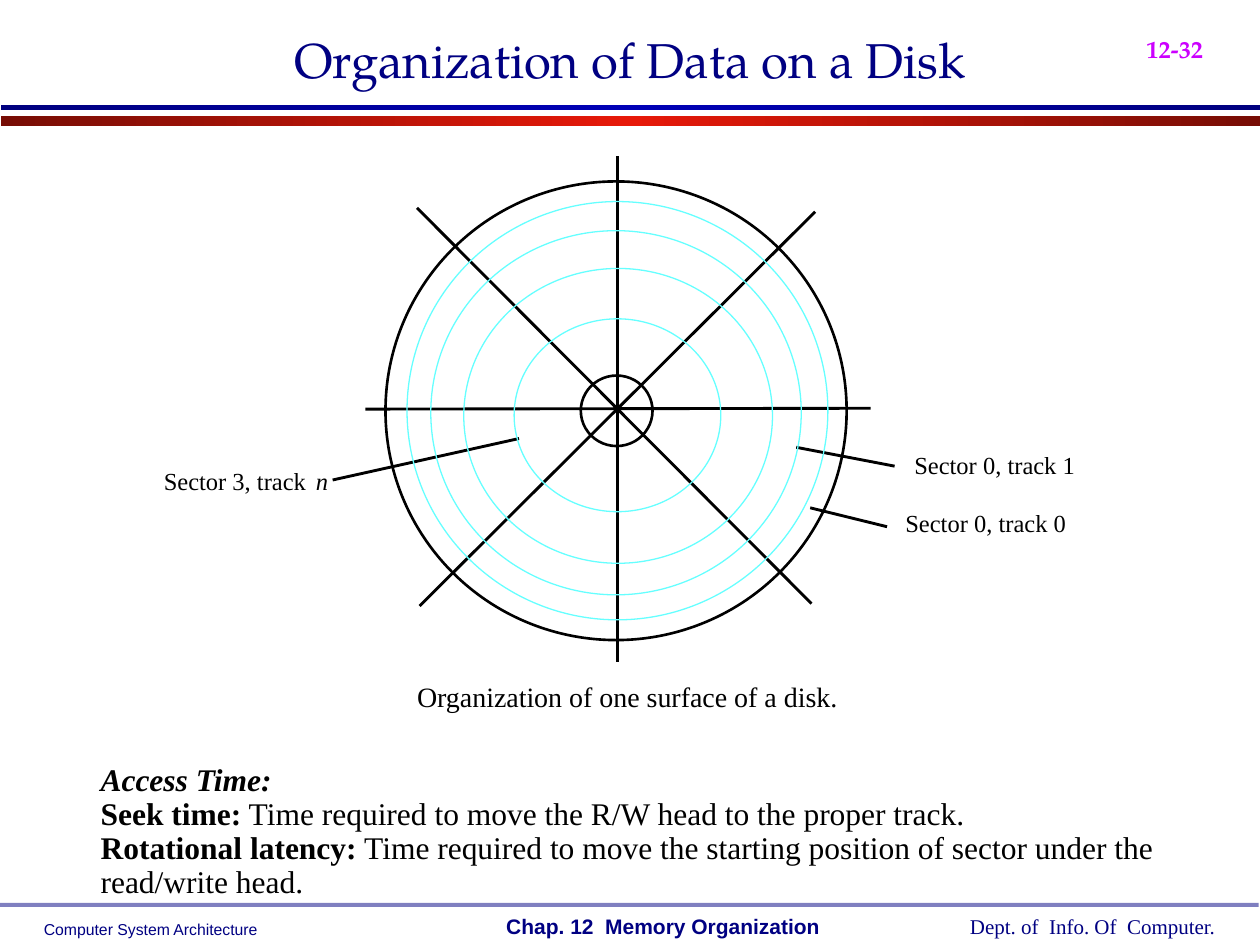
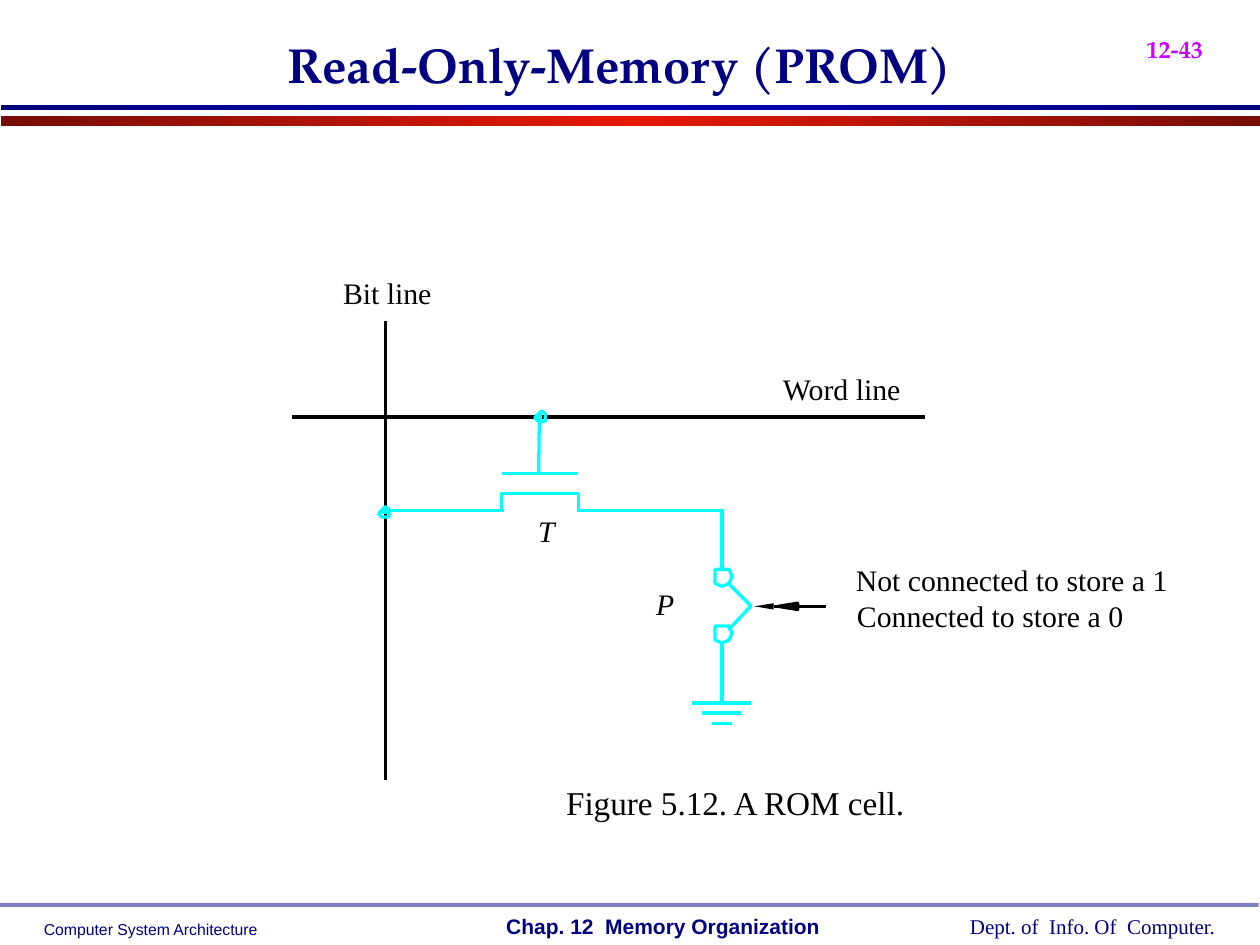
from lxml import etree
from pptx import Presentation
from pptx.dml.color import RGBColor
from pptx.enum.shapes import MSO_CONNECTOR, MSO_SHAPE
from pptx.enum.text import MSO_ANCHOR, MSO_AUTO_SIZE, PP_ALIGN
from pptx.oxml import parse_xml
from pptx.oxml.ns import nsdecls, qn
from pptx.util import Pt

STRAIGHT = MSO_CONNECTOR.STRAIGHT
RECTANGLE, OVAL = MSO_SHAPE.RECTANGLE, MSO_SHAPE.OVAL
LEFT, CENTER = PP_ALIGN.LEFT, PP_ALIGN.CENTER
TOP, BOTTOM = MSO_ANCHOR.TOP, MSO_ANCHOR.BOTTOM
FIT_SHAPE, FIT_NONE = MSO_AUTO_SIZE.SHAPE_TO_FIT_TEXT, MSO_AUTO_SIZE.NONE

NAVY, MAGENTA, BLACK, WHITE = "000082", "CC00FF", "000000", "FFFFFF"
TRACK_BLUE, CYAN = "66FFFF", "00FFFF"
SERIF, SANS, DISPLAY = "Times New Roman", "Arial", "TeX Gyre Pagella"

# Shared parts: boxes are left, top, width, height
BANDS = [
    ((0.72, 66.2, 719.28, 5.8), ("770D05", "E71909", "770D05")),
    ((0.72, 59.8, 719.28, 3), ("00007F", "0000B6", "00007F")),
]
FOOTER_RULE = (0, 516, 719.3, 2.2)
FOOTERS = [
    ("Computer System Architecture", (18, 522, 136.8, 18), dict(name=SANS, size=9)),
    ("Dept. of  Info. Of  Computer.", (547.2, 518.4, 155.5, 21.6), dict(name=SERIF, size=12)),
    ("Chap. 12  Memory Organization", (282.2, 518.4, 193.7, 21.6),
     dict(name=SANS, size=12, bold=True)),
]
PAGE_NUMBER_BOX = (648, 0, 77.8, 26.6)
PAGE_NUMBER_FORMAT = dict(name=DISPLAY, size=24, bold=True, color=MAGENTA)

# Disk slide
DISK_LABELS = [
    ("Sector 0, track 0", (512.6, 290.2, 101.5, 16.6), {}),
    ("Sector 3, track", (89.3, 266.4, 90, 16.6), {}),
    ("n", (180, 266.4, 7.9, 16.6), dict(italic=True)),
    ("Sector 0, track 1", (517.7, 257, 101.5, 16.6), {}),
    ("Organization of one surface of a disk.", (224.6, 388.1, 267.8, 19.4), dict(size=16)),
]
DISK_LINES = [
    (190.1, 274.3, 296.6, 250.6),
    (352.8, 378, 352.8, 89.3),
    (497.5, 233.3, 208.8, 233.8),
    (239.8, 346.3, 465.8, 121),
    (238.3, 118.8, 463.7, 344.9),
    (506.9, 301, 463, 290.2),
    (511.2, 266.4, 455, 255.6),
]
RIM, TRACK = (BLACK, 1.5), (TRACK_BLUE, 0.75)
DISK_CIRCLES = [
    ((220.3, 103.7, 263.5, 262.1), RIM),
    ((232.6, 115.2, 240.5, 239), TRACK),
    ((246.2, 131.8, 211.7, 208.1), TRACK),
    ((265, 153.4, 176.4, 168.5), TRACK),
    ((293.8, 182.2, 118.1, 110.2), TRACK),
    ((331.9, 214.6, 41, 40.3), RIM),
]
ACCESS_TIME = [
    [("Access Time:", dict(bold=True, italic=True))],
    [("Seek time:", dict(bold=True)),
     (" Time required to move the R/W head to the proper track.", {})],
    [("Rotational latency:", dict(bold=True)),
     (" Time required to move the starting position of sector under the read/write head.", {})],
]
ACCESS_BOX = (50.4, 433.4, 618.5, 85.7)

# ROM cell slide
WIRE = 1.88
ROM_LABELS = [
    ("Not connected to store a 1", (478.1, 321.1, 200.2, 20.2), {}),
    ("Connected to store a 0", (479.5, 341.3, 172.8, 20.2), {}),
    ("Figure 5.12. A ROM cell.", (316.1, 447.1, 208.1, 23), dict(size=19)),
    ("Word line", (445, 211.7, 72, 20.2), {}),
    ("P", (374.4, 334.8, 11.5, 20.2), dict(italic=True)),
    ("Bit line", (195.8, 157, 51.1, 20.2), {}),
    ("T", (304.6, 293, 15.1, 20.2), dict(italic=True)),
]
ROM_BLACK_LINES = [
    (442.1, 346.7, 472.3, 346.7),
    (528.5, 238.3, 167, 238.3),
    (220.3, 445.7, 220.3, 183.6),
]
ROM_CYAN_LINES = [
    (429.1, 401.8, 395.3, 401.8),
    (423.4, 407.5, 401, 407.5),
    (418.3, 413.3, 406.8, 413.3),
    (412.6, 401.8, 412.6, 367.9),
    (330.5, 270.7, 286.6, 270.7),
    (286.6, 291.6, 220.3, 291.6),
    (307.8, 270.7, 308.2, 238.3),
]
GATE_BOX = (286.6, 282.2, 43.9, 9.4)
GATE_OPENING = (288, 291, 329.8, 291)
DRAIN_WIRE = [(412.6, 325.4), (412.6, 291.6), (330.5, 291.6)]
FUSE_LINK = [(416.2, 333.4), (429.1, 346.3), (416.2, 360)]
ARROW_HEAD = [(0, -1.8), (-11, 0), (0, 1.8)]
TERMINAL = [(0, 0), (-4, 0), (-4, 4), (-4, 8), (0, 9.7), (4, 8), (5.8, 4), (4, 0)]
TERMINAL_MASK = [(0, -5.8), (-4, -4), (-5.8, 0), (-4, 4), (0, 5.8), (4, 4), (5.8, 0), (4, -4)]
JUNCTION_RING = [(0, 0), (-2, 2), (-4, 4), (-2, 6), (0, 6), (2, 6), (2, 4), (2, 2)]
JUNCTION_DOT = [(-2, -2), (-2, 2), (2, 2), (2, -2)]
JUNCTIONS = [((220.3, 291.6), (220.3, 289.5)), ((307.6, 238.3), (309.6, 234.7))]


def rgb(color):
    return RGBColor.from_string(color)


def points(values):
    return [Pt(value) for value in values]


def paint(shape, fill=None, line=None):
    """Apply a fill colour and a (colour, width) outline; None means empty."""
    shape.shadow.inherit = False
    if fill:
        shape.fill.solid()
        shape.fill.fore_color.rgb = rgb(fill)
    else:
        shape.fill.background()
    if line:
        shape.line.color.rgb = rgb(line[0])
        shape.line.width = Pt(line[1])
    else:
        shape.line.fill.background()


def add_shape(slide, kind, box, fill=None, line=None):
    shape = slide.shapes.add_shape(kind, *points(box))
    paint(shape, fill, line)
    return shape


def add_line(slide, ends, color=BLACK, width=1.63):
    connector = slide.shapes.add_connector(STRAIGHT, *points(ends))
    connector.line.color.rgb = rgb(color)
    connector.line.width = Pt(width)
    etree.SubElement(connector._element.spPr, qn("a:effectLst"))


def add_outline(slide, vertices, origin=(0, 0), close=True, fill=None, line=None):
    """Draw a polygon or open path whose vertices are relative to origin."""
    moved = [points((origin[0] + x, origin[1] + y)) for x, y in vertices]
    builder = slide.shapes.build_freeform(*moved[0])
    builder.add_line_segments(moved[1:], close=close)
    paint(builder.convert_to_shape(), fill, line)


def add_text(slide, box, paragraphs, font, align=LEFT, anchor=TOP, inset=None,
             wrap=True, fit=FIT_SHAPE, spacing=None):
    """Add a text box; paragraphs hold (text, font changes) runs."""
    shape = slide.shapes.add_textbox(*points(box))
    frame = shape.text_frame
    frame.word_wrap, frame.auto_size, frame.vertical_anchor = wrap, fit, anchor
    if inset is not None:
        for side in ("left", "top", "right", "bottom"):
            setattr(frame, f"margin_{side}", Pt(inset))
    for index, runs in enumerate(paragraphs):
        paragraph = frame.paragraphs[0] if index == 0 else frame.add_paragraph()
        paragraph.alignment = align
        for name, value in (spacing or {}).items():
            setattr(paragraph, name, value)
        for text, changes in runs:
            run = paragraph.add_run()
            run.text = text
            for name, value in {"color": BLACK, **font, **changes}.items():
                if name == "color":
                    run.font.color.rgb = rgb(value)
                else:
                    setattr(run.font, name, Pt(value) if name == "size" else value)
    return shape


def add_labels(slide, labels, size):
    for text, box, changes in labels:
        add_text(slide, box, [[(text, changes)]], dict(name=SERIF, size=size),
                 align=CENTER, inset=0, wrap=False)


def add_band(slide, box, colors):
    """Add a bar with a left-to-right gradient."""
    band = add_shape(slide, RECTANGLE, box)
    properties = band._element.spPr
    properties.remove(properties.find(qn("a:noFill")))
    step = 100000 // (len(colors) - 1)
    stops = "".join(f'<a:gs pos="{index * step}"><a:srgbClr val="{color}"/></a:gs>'
                    for index, color in enumerate(colors))
    properties.find(qn("a:prstGeom")).addnext(parse_xml(
        f'<a:gradFill {nsdecls("a")} rotWithShape="1"><a:gsLst>{stops}</a:gsLst>'
        '<a:lin ang="0" scaled="1"/></a:gradFill>'))


def add_base_slide(presentation, title, title_box, number, bold=False):
    """Add a slide with the bands, footers, page number and title."""
    slide = presentation.slides.add_slide(presentation.slide_layouts[6])
    for box, colors in BANDS:
        add_band(slide, box, colors)
    for text, box, font in FOOTERS:
        add_text(slide, box, [[(text, {})]], dict(font, color=NAVY), wrap=False)
    rule = add_shape(slide, RECTANGLE, FOOTER_RULE, NAVY)
    color = rule._element.spPr.find(f'{qn("a:solidFill")}/{qn("a:srgbClr")}')
    etree.SubElement(color, qn("a:alpha"), val="50000")
    page_number = add_text(slide, PAGE_NUMBER_BOX, [[(number, {})]], PAGE_NUMBER_FORMAT,
                           spacing=dict(space_before=Pt(12)))
    run = page_number.text_frame.paragraphs[0].runs[0]
    run.font._element.set("baseline", "-25000")
    add_text(slide, title_box, [[(title, {})]],
             dict(name=DISPLAY, size=28, color=NAVY, bold=bold),
             align=CENTER, anchor=BOTTOM, fit=FIT_NONE)
    return slide


def build_disk_slide(presentation):
    slide = add_base_slide(presentation, "Organization of Data on a Disk",
                           (54, 0, 612, 54), "12-32")
    for ends in DISK_LINES:
        add_line(slide, ends)
    for box, line in DISK_CIRCLES:
        add_shape(slide, OVAL, box, line=line)
    add_labels(slide, DISK_LABELS, 14)
    add_text(slide, ACCESS_BOX, ACCESS_TIME, dict(name=SERIF, size=18),
             spacing=dict(line_spacing=0.9))


def build_rom_slide(presentation):
    slide = add_base_slide(presentation, "Read-Only-Memory (PROM)",
                           (48.2, 2.9, 612, 54), "12-43", bold=True)
    cyan_line = (CYAN, WIRE)
    for ends in ROM_BLACK_LINES:
        add_line(slide, ends, BLACK, WIRE)
    add_outline(slide, ARROW_HEAD, (455.8, 346.5), line=(BLACK, WIRE))
    add_outline(slide, ARROW_HEAD, (442.1, 346.5), fill=BLACK)
    add_outline(slide, TERMINAL, (412.6, 357.8), line=cyan_line)
    add_outline(slide, TERMINAL_MASK, (412.6, 329.8), fill=WHITE)
    add_outline(slide, TERMINAL, (412.6, 325.4), line=cyan_line)
    for ends in ROM_CYAN_LINES:
        add_line(slide, ends, CYAN, WIRE)
    add_shape(slide, RECTANGLE, GATE_BOX, line=cyan_line)
    for path_points in (DRAIN_WIRE, FUSE_LINK):
        add_outline(slide, path_points, close=False, line=cyan_line)
    for dot_center, ring_top in JUNCTIONS:
        add_outline(slide, JUNCTION_DOT, dot_center, fill=CYAN)
        add_outline(slide, JUNCTION_RING, ring_top, line=cyan_line)
    add_labels(slide, ROM_LABELS, 17)
    add_line(slide, GATE_OPENING, WHITE, 6)


def main():
    presentation = Presentation()
    presentation.slide_width, presentation.slide_height = Pt(720), Pt(540)
    build_disk_slide(presentation)
    build_rom_slide(presentation)
    presentation.save("out.pptx")


if __name__ == "__main__":
    main()
